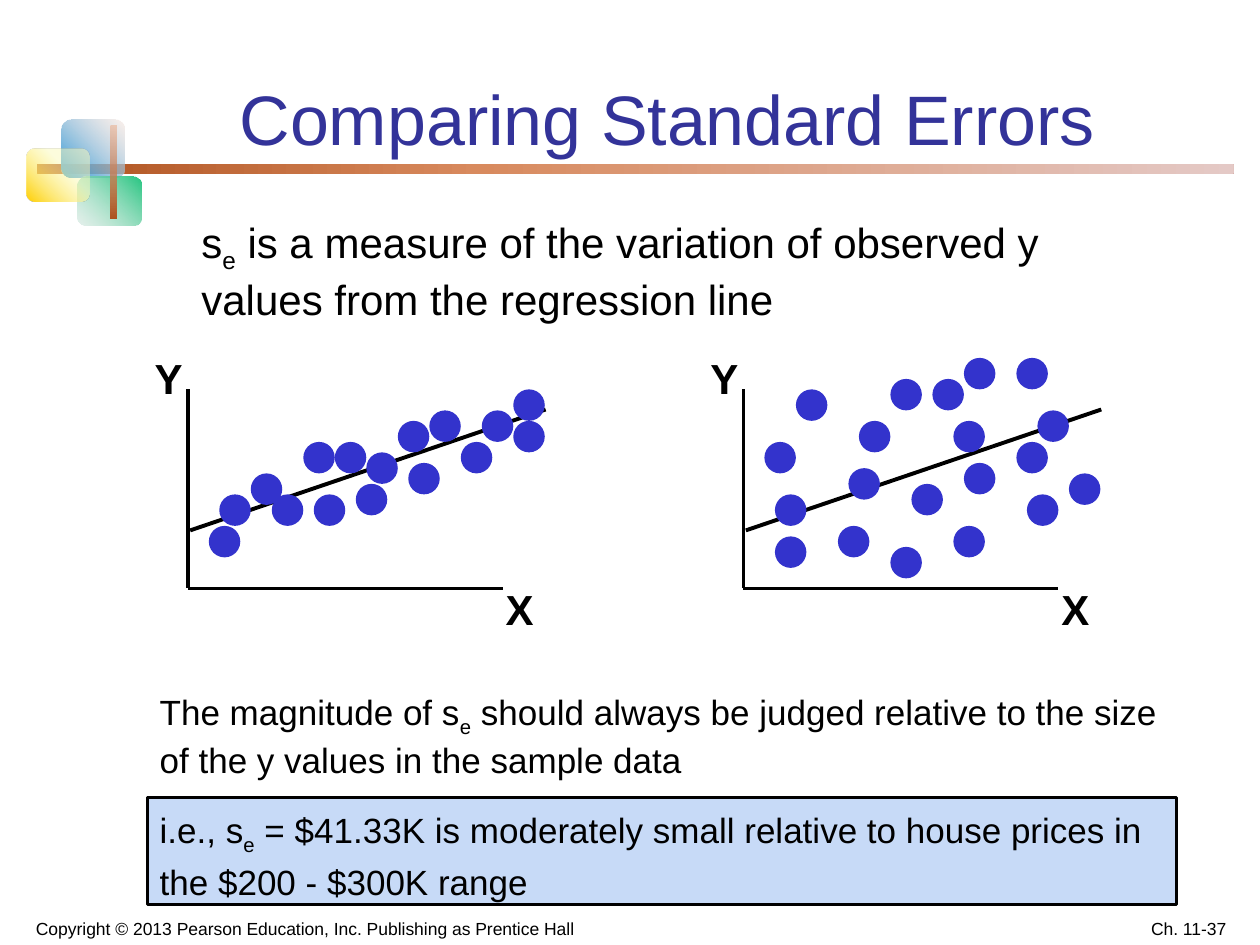
from lxml.etree import SubElement
from pptx import Presentation
from pptx.dml.color import RGBColor
from pptx.enum.shapes import MSO_CONNECTOR, MSO_SHAPE
from pptx.enum.text import MSO_ANCHOR, PP_ALIGN
from pptx.oxml.ns import qn
from pptx.util import Pt

BLACK = RGBColor(0x00, 0x00, 0x00)
NAVY = RGBColor(0x33, 0x33, 0x99)
BLUE = RGBColor(0x33, 0x33, 0xCC)
PALE = RGBColor(0xC7, 0xDA, 0xF7)
RUST = RGBColor(0xAE, 0x51, 0x1E)
CLAY = RGBColor(0xD8, 0x8A, 0x5E)
ROSE = RGBColor(0xE4, 0xC9, 0xC6)
SKY = RGBColor(0x28, 0x95, 0xD8)
CREAM = RGBColor(0xF7, 0xE2, 0xD9)
GREEN = RGBColor(0x25, 0xC5, 0x80)
MIST = RGBColor(0xCC, 0xE2, 0xD9)
GOLD = RGBColor(0xFF, 0xCF, 0x01)
LEMON = RGBColor(0xFC, 0xFC, 0xBC)
PEACH = RGBColor(0xEA, 0xA7, 0x82)

# Box, angle and (position %, colour, opacity %) stops of the ornament
TILES = [
    ((20.9, 93.6, 684, 5.8), 0, [(0, RUST, 100), (37, CLAY, 100), (100, ROSE, 100)]),
    ((35.3, 68.4, 36, 33.1), 315, [(0, SKY, 100), (100, CREAM, 50)]),
    ((44.6, 100.8, 36, 28.1), 135, [(0, GREEN, 100), (100, MIST, 50)]),
    ((15.1, 85, 36, 30.2), 315, [(0, GOLD, 100), (63, LEMON, 50)]),
    ((63.2, 72, 3.6, 52.6), 270, [(0, RUST, 100), (100, PEACH, 50)]),
]

# Dots lie on a grid: steps right of the Y axis, steps below its top
STEP, DOT = 6, 18
TOP, BASE = 222.5, 336.2
SMALL = [(2, 13), (3, 10), (31, 0), (28, 2), (8, 10), (26, 5), (23, 2), (6, 8),
         (11, 5), (21, 7), (16, 9), (12, 10), (17, 6), (20, 3), (14, 5), (31, 3)]
LARGE = [(3, 14), (3, 10), (26, -3), (28, 2), (9, 13), (26, 5), (20, 13),
         (21, -3), (14, -1), (2, 5), (5, 0), (10, 7.5), (21, 7), (16, 9),
         (14, 15), (31, 8), (20, 3), (18, -1), (11, 3), (27, 10)]


def points(vals):
    return [Pt(v) for v in vals]


def add_shape(slide, kind, box, fill=None, line=None):
    shape = slide.shapes.add_shape(kind, *points(box))
    shape.shadow.inherit = False
    if fill is not None:
        shape.fill.solid()
        shape.fill.fore_color.rgb = fill
    if line is None:
        shape.line.fill.background()
    else:
        shape.line.color.rgb = BLACK
        shape.line.width = Pt(line)
    return shape


def add_tile(slide, box, angle, stops):
    """Rounded bar or square with a gradient that may fade out."""
    shape = add_shape(slide, MSO_SHAPE.ROUNDED_RECTANGLE, box)
    shape.fill.gradient()
    shape.fill.gradient_angle = (360 - angle) % 360
    items = shape.element.spPr.find(qn("a:gradFill")).find(qn("a:gsLst"))
    for old in list(items):
        items.remove(old)
    for pos, tint, alpha in stops:
        stop = SubElement(items, qn("a:gs"), pos=str(pos * 1000))
        clr = SubElement(stop, qn("a:srgbClr"), val=str(tint))
        if alpha < 100:
            SubElement(clr, qn("a:alpha"), val=str(alpha * 1000))


def add_line(slide, start, end, width):
    line = slide.shapes.add_connector(
        MSO_CONNECTOR.STRAIGHT, *points(start), *points(end))
    line.line.color.rgb = BLACK
    line.line.width = Pt(width)
    SubElement(line.element.spPr, qn("a:effectLst"))


def write(shape, runs, size, color=BLACK, bold=False, align=PP_ALIGN.LEFT,
          anchor=MSO_ANCHOR.TOP, wrap=True, space=None):
    """Fill a shape with one paragraph of (text, is subscript) runs."""
    frame = shape.text_frame
    frame.word_wrap = wrap
    frame.vertical_anchor = anchor
    para = frame.paragraphs[0]
    para.alignment = align
    if space:
        para.line_spacing = space
    for text, sub in runs:
        run = para.add_run()
        run.text = text
        font = run.font
        font.name = "Arial"
        font.size = Pt(size)
        font.bold = bold
        font.color.rgb = color
        if sub:
            font._element.set("baseline", "-25000")


def add_text(slide, box, runs, size, **style):
    write(slide.shapes.add_textbox(*points(box)), runs, size, **style)


def error(head, tail):
    """Runs of a sentence around the symbol s with subscript e."""
    return [(head + "s", False), ("e", True), (tail, False)]


def add_plot(slide, left, dots):
    add_line(slide, (left, TOP), (left, BASE), 2)
    add_line(slide, (left, BASE), (left + 180, BASE), 2)
    add_line(slide, (left + 1.4, 303.1), (left + 204.5, 234), 2.25)
    for col, row in dots:
        box = (left + col * STEP, TOP + row * STEP, DOT, DOT)
        add_shape(slide, MSO_SHAPE.OVAL, box, BLUE)
    for name, x, y in (("Y", left - 26, 198), ("X", left + 174.6, 330)):
        add_text(slide, (x, y, 30.2, 36), [(name, False)], 24,
                 bold=True, wrap=False)


def main():
    deck = Presentation()
    deck.slide_width, deck.slide_height = Pt(720), Pt(540)
    slide = deck.slides.add_slide(deck.slide_layouts[6])

    for tile in TILES:
        add_tile(slide, *tile)
    add_text(slide, (90.7, 16.6, 581, 77.8), [("Comparing Standard Errors", False)],
             40, color=NAVY, align=PP_ALIGN.CENTER, anchor=MSO_ANCHOR.BOTTOM)

    add_plot(slide, 424.8, LARGE)
    add_plot(slide, 107.3, SMALL)

    add_text(slide, (108, 120.2, 504, 64.8), error(
        "", " is a measure of the variation of observed y values "
        "from the regression line"), 24)
    add_text(slide, (84.2, 391, 588.2, 55.4), error(
        "The magnitude of ", " should always be judged relative to the size "
        "of the y values in the sample data"), 20)
    note = add_shape(slide, MSO_SHAPE.RECTANGLE, (84.2, 455.8, 588.2, 61.2),
                     PALE, 1.5)
    write(note, error(
        "i.e., ", " = $41.33K is moderately small relative to house prices "
        "in the $200 - $300K range"), 20, space=1.1)

    add_text(slide, (0, 514.8, 348.5, 25.2), [(
        "Copyright © 2013 Pearson Education, Inc. Publishing as Prentice Hall",
        False)], 10, align=PP_ALIGN.CENTER, anchor=MSO_ANCHOR.BOTTOM)
    add_text(slide, (540, 514.8, 167.8, 25.2), [("Ch. 11-37", False)], 10,
             align=PP_ALIGN.RIGHT, anchor=MSO_ANCHOR.BOTTOM)
    deck.save("out.pptx")


if __name__ == "__main__":
    main()
